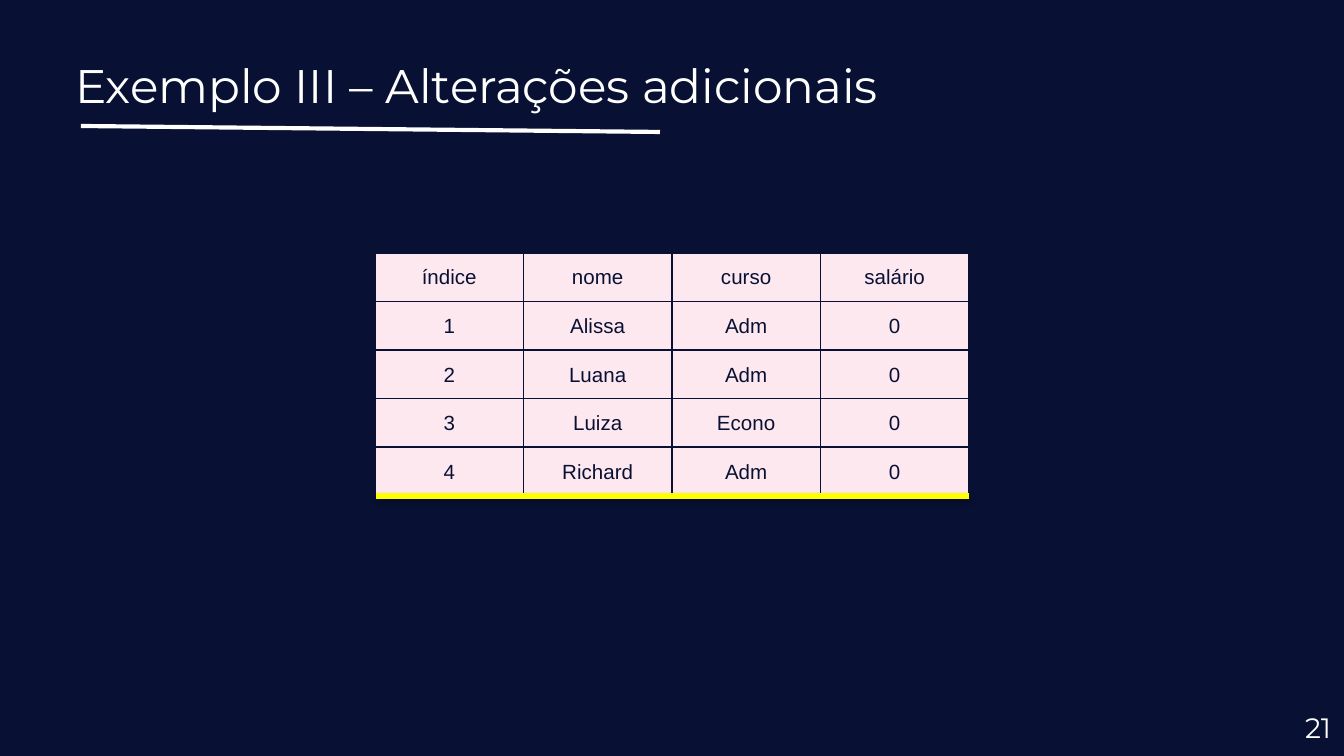
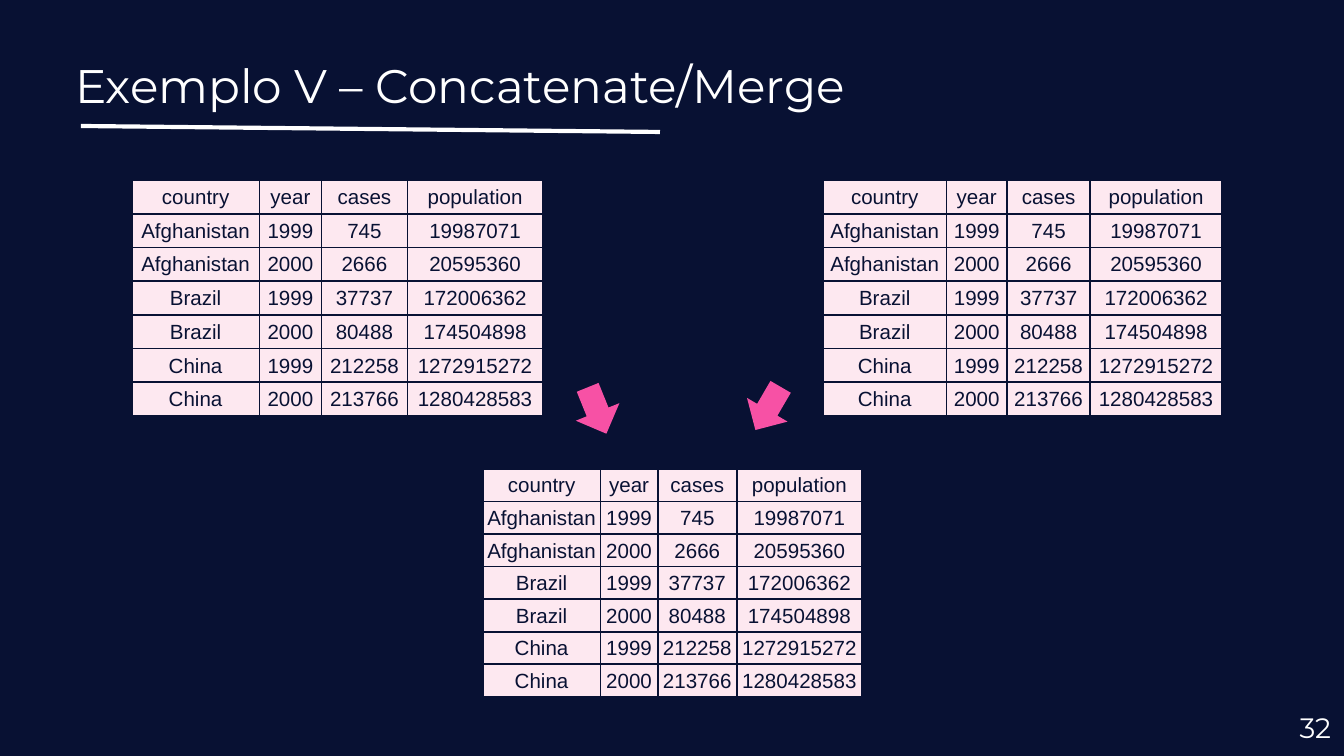
from collections import namedtuple
from dataclasses import dataclass

from lxml.etree import SubElement
from pptx import Presentation
from pptx.dml.color import RGBColor
from pptx.enum.shapes import MSO_CONNECTOR as Connector, MSO_SHAPE as Preset
from pptx.enum.text import MSO_ANCHOR as Anchor, PP_ALIGN as Align
from pptx.oxml import parse_xml
from pptx.oxml.ns import nsdecls, qn
from pptx.util import Pt

EMU_PER_PX = 914400 / 134.4
Box = namedtuple("Box", "left top width height")


@dataclass(frozen=True)
class Theme:
    navy: str = "081133"
    white: str = "FFFFFF"
    blush: str = "FDE8F0"
    pink: str = "F751A5"
    yellow: str = "FFFF00"
    heading_font: str = "Montserrat"
    table_font: str = "Arial"
    title_size: float = 25.2
    number_size: float = 15
    cell_size: float = 11


THEME = Theme()
SLIDE = Box(0, 0, 1344, 756)
TITLE = Box(62, 43, 1253, 85)
PAGE_NUMBER = Box(1263, 698, 81, 58)

STUDENTS = [
    ("índice", "nome", "curso", "salário"),
    ("1", "Alissa", "Adm", "0"),
    ("2", "Luana", "Adm", "0"),
    ("3", "Luiza", "Econo", "0"),
    ("4", "Richard", "Adm", "0"),
]
COUNTRIES = [
    ("country", "year", "cases", "population"),
    ("Afghanistan", "1999", "745", "19987071"),
    ("Afghanistan", "2000", "2666", "20595360"),
    ("Brazil", "1999", "37737", "172006362"),
    ("Brazil", "2000", "80488", "174504898"),
    ("China", "1999", "212258", "1272915272"),
    ("China", "2000", "213766", "1280428583"),
]
COUNTRY_WEIGHTS = (92, 45, 62, 98)


def px(length):
    return round(length * EMU_PER_PX)


def emu(box):
    return [px(length) for length in box]


def color(value):
    return RGBColor.from_string(value)


def write_text(holder, text, *, size, font, fill, align=Align.LEFT,
               anchor=Anchor.MIDDLE, margins=(13, 13, 13, 13)):
    """Write one formatted paragraph into a text frame or a table cell."""
    (holder.margin_left, holder.margin_top,
     holder.margin_right, holder.margin_bottom) = emu(margins)
    holder.vertical_anchor = anchor
    frame = getattr(holder, "text_frame", holder)
    frame.text = text
    paragraph = frame.paragraphs[0]
    paragraph.alignment = align
    run_font = paragraph.runs[0].font
    run_font.size = Pt(size)
    run_font.name = font
    run_font.color.rgb = color(fill)


def add_line(slide, start, end, *, fill, width, shadow=False):
    line = slide.shapes.add_connector(Connector.STRAIGHT, *emu(start + end))
    line.line.color.rgb = color(fill)
    line.line.width = Pt(width)
    effects = SubElement(line._element.spPr, qn("a:effectLst"))
    if shadow:
        effects.append(parse_xml(
            f'<a:outerShdw {nsdecls("a")} blurRad="40000" dist="23000" dir="5400000" '
            'rotWithShape="0"><a:srgbClr val="000000"><a:alpha val="35000"/>'
            '</a:srgbClr></a:outerShdw>'))


def add_base_slide(presentation, title, number):
    """Add a slide with its title, underline and page number."""
    slide = presentation.slides.add_slide(presentation.slide_layouts[5])
    add_line(slide, (81, 126), (660, 132), fill=THEME.white, width=2.25)

    heading = slide.shapes.title
    heading.left, heading.top, heading.width, heading.height = emu(TITLE)
    write_text(heading.text_frame, title, size=THEME.title_size,
               font=THEME.heading_font, fill=THEME.white, anchor=Anchor.TOP)

    page = slide.shapes.add_textbox(*emu(PAGE_NUMBER)).text_frame
    page.word_wrap = True
    write_text(page, str(number), size=THEME.number_size,
               font=THEME.heading_font, fill=THEME.white, align=Align.RIGHT)
    return slide


def add_borders(cell):
    properties = cell._tc.get_or_add_tcPr()
    for side in ("lnL", "lnR", "lnT", "lnB"):
        properties.append(parse_xml(
            f'<a:{side} {nsdecls("a")} w="{Pt(1)}"><a:solidFill>'
            f'<a:srgbClr val="{THEME.navy}"/></a:solidFill></a:{side}>'))


def add_data_table(slide, box, rows, weights):
    """Fill the box with equal rows and columns in the given proportions."""
    table = slide.shapes.add_table(len(rows), len(weights), *emu(box)).table
    table.first_row = table.horz_banding = False
    for column, weight in zip(table.columns, weights):
        column.width = px(box.width * weight / sum(weights))
    for row, values in zip(table.rows, rows):
        row.height = px(box.height / len(rows))
        for cell, value in zip(row.cells, values):
            write_text(cell, value, size=THEME.cell_size, font=THEME.table_font,
                       fill=THEME.navy, align=Align.CENTER, margins=(1, 1, 1, 0))
            add_borders(cell)
            cell.fill.solid()
            cell.fill.fore_color.rgb = color(THEME.blush)


def add_arrow(slide, box, rotation):
    arrow = slide.shapes.add_shape(Preset.RIGHT_ARROW, *emu(box))
    arrow.rotation = rotation
    arrow.shadow.inherit = False
    arrow.fill.solid()
    arrow.fill.fore_color.rgb = color(THEME.pink)
    arrow.line.fill.background()


def build_changes_slide(presentation):
    slide = add_base_slide(presentation, "Exemplo III – Alterações adicionais", 21)
    box = Box(375, 253, 594, 243)
    add_data_table(slide, box, STUDENTS, (1, 1, 1, 1))
    # Highlight under the last row
    bottom = box.top + box.height
    add_line(slide, (box.left + 1, bottom), (box.left + box.width, bottom),
             fill=THEME.yellow, width=3, shadow=True)


def build_merge_slide(presentation):
    slide = add_base_slide(presentation, "Exemplo V – Concatenate/Merge", 32)
    # Two sources above, merged result below
    for box in (Box(823, 180, 399, 236), Box(132, 180, 411, 236),
                Box(483, 469, 379, 228)):
        add_data_table(slide, box, COUNTRIES, COUNTRY_WEIGHTS)
    # Arrows towards the result
    add_arrow(slide, Box(743, 385, 50, 47), 120.3)
    add_arrow(slide, Box(572, 387, 50, 47), 68)


def main():
    presentation = Presentation()
    presentation.slide_width = px(SLIDE.width)
    presentation.slide_height = px(SLIDE.height)
    background = presentation.slide_master.background.fill
    background.solid()
    background.fore_color.rgb = color(THEME.navy)
    build_changes_slide(presentation)
    build_merge_slide(presentation)
    presentation.save("out.pptx")


if __name__ == "__main__":
    main()
